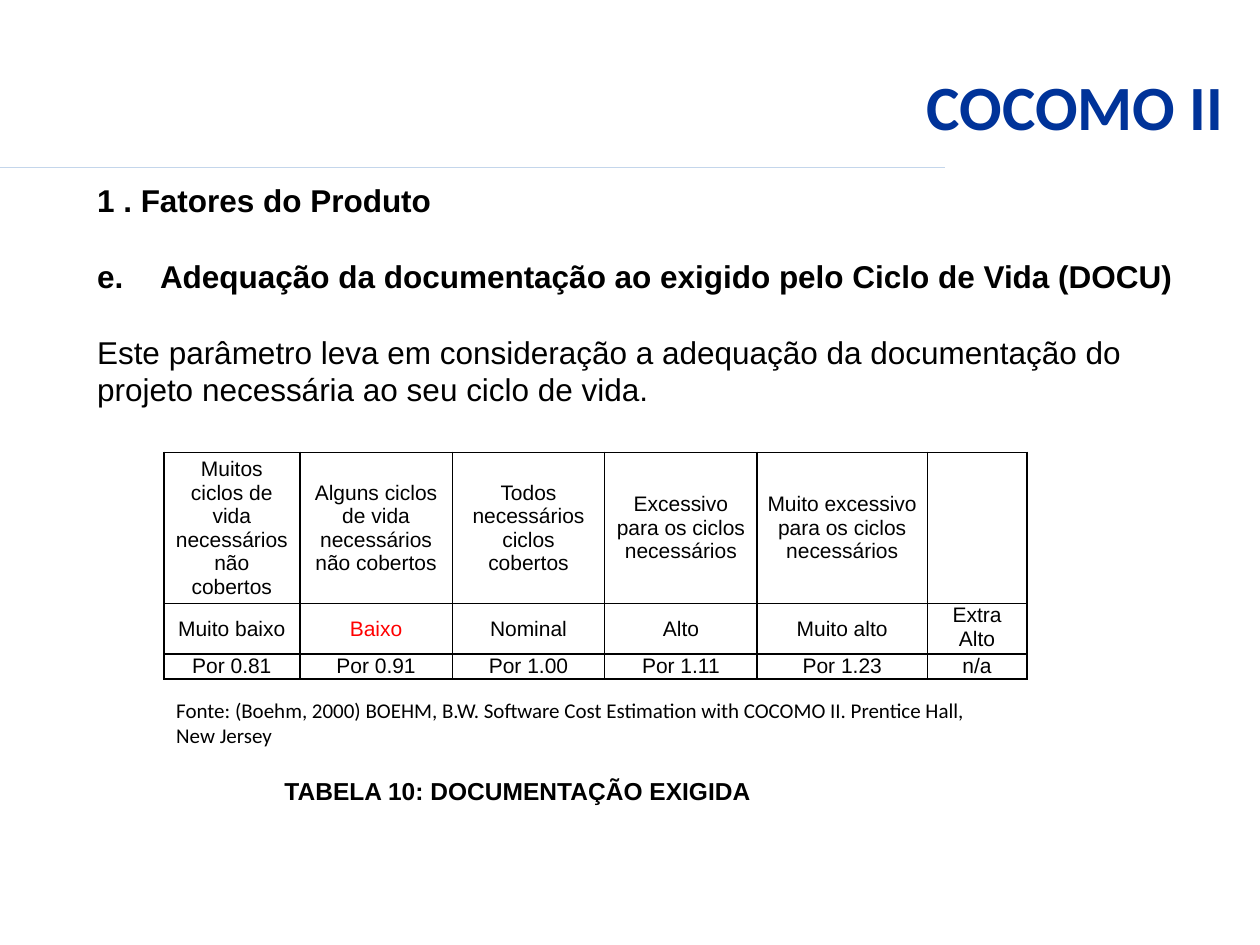
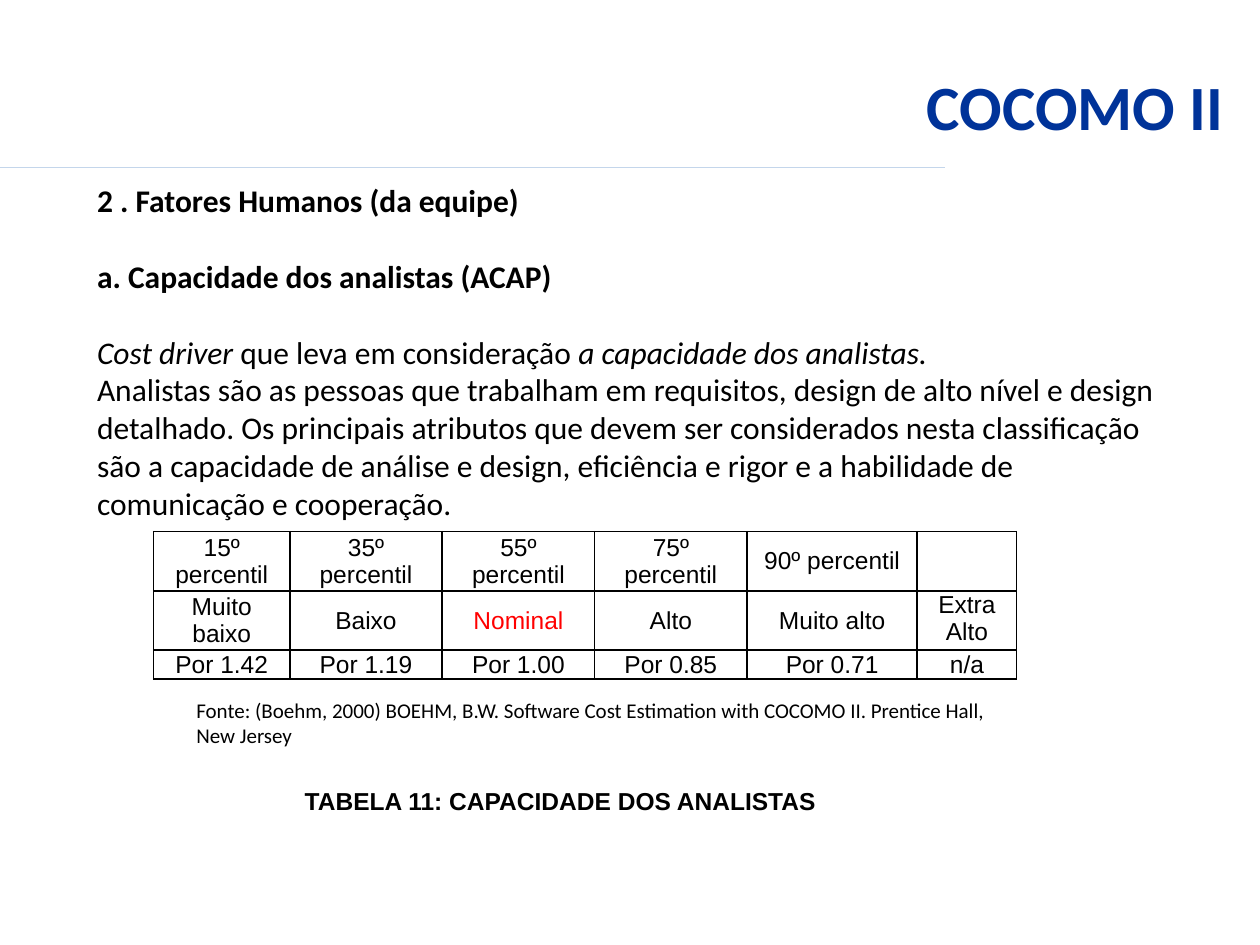
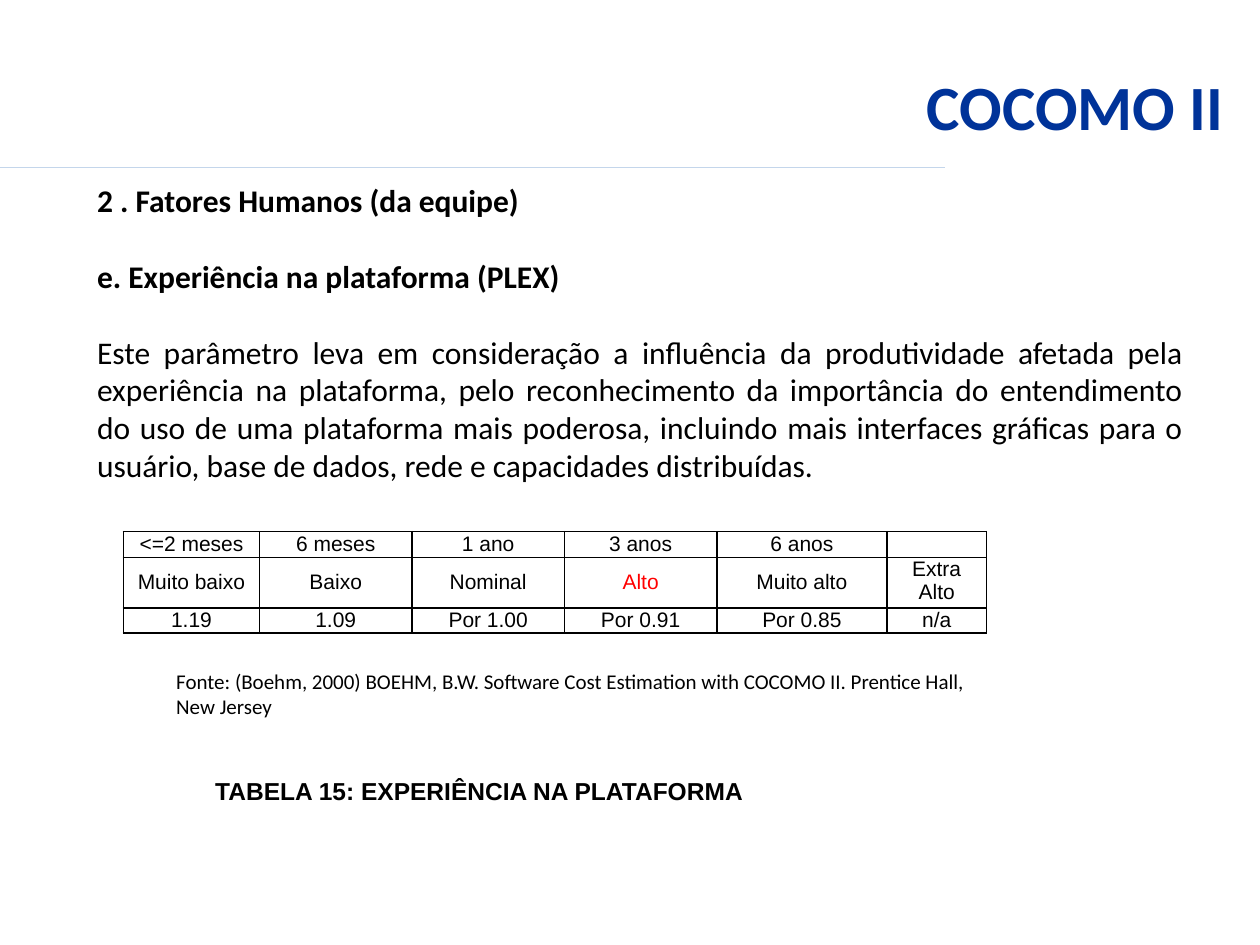
from dataclasses import dataclass

from lxml import etree
from pptx import Presentation
from pptx.dml.color import RGBColor
from pptx.enum.shapes import MSO_CONNECTOR
from pptx.enum.text import MSO_ANCHOR, MSO_AUTO_SIZE, PP_ALIGN
from pptx.oxml.ns import qn
from pptx.util import Inches, Pt

LEFT, CENTER, RIGHT, JUSTIFY = PP_ALIGN.LEFT, PP_ALIGN.CENTER, PP_ALIGN.RIGHT, PP_ALIGN.JUSTIFY
TOP, MIDDLE = MSO_ANCHOR.TOP, MSO_ANCHOR.MIDDLE
STRAIGHT = MSO_CONNECTOR.STRAIGHT
NO_AUTOFIT = MSO_AUTO_SIZE.NONE


@dataclass(frozen=True)
class Theme:
    title_color: str = "003399"
    ink: str = "000000"
    highlight: str = "FF0000"
    rule: str = "C4D6EB"
    title_size: float = 36
    body_size: float = 18
    body_pitch: float = 21.6
    caption_size: float = 14
    source_size: float = 12
    sans: str = "Arial"
    humanist: str = "Calibri"


THEME = Theme()
SOURCE = ("Fonte: (Boehm, 2000) BOEHM, B.W. Software Cost Estimation with COCOMO II. "
          "Prentice Hall, New Jersey")
COLUMN_WIDTHS = (1.08, 1.21, 1.21, 1.21, 1.35, 0.79)
RATINGS = ("Muito baixo", "Baixo", "Nominal", "Alto", "Muito alto", "Extra Alto")


def write(paragraph, text, *, size, font, color=THEME.ink, bold=False, italic=False):
    """Append one formatted run to the paragraph."""
    run = paragraph.add_run()
    run.text = text
    run.font.size = Pt(size)
    run.font.name = font
    run.font.bold = bold
    run.font.italic = italic
    run.font.color.rgb = RGBColor.from_string(color)


def add_child(parent, tag, **attributes):
    return etree.SubElement(parent, qn(tag), attributes)


class Deck:
    def __init__(self, theme):
        self.theme = theme
        self.presentation = Presentation()
        self.presentation.slide_width = Inches(10)
        self.presentation.slide_height = Inches(7.5)
        self.slide = None

    def place(self, shape, left, top, width, height):
        shape.left, shape.top = Inches(left), Inches(top)
        shape.width, shape.height = Inches(width), Inches(height)

    def new_slide(self, heading):
        """Start a slide with the shared rule and title."""
        self.slide = self.presentation.slides.add_slide(self.presentation.slide_layouts[1])
        self.rule()
        title = self.slide.shapes.title
        self.place(title, 0.67, 0.21, 9.14, 1.25)
        frame = title.text_frame
        frame.auto_size = NO_AUTOFIT
        frame.vertical_anchor = MIDDLE
        frame.paragraphs[0].alignment = RIGHT
        write(frame.paragraphs[0], heading, size=self.theme.title_size,
              font=self.theme.humanist, color=self.theme.title_color, bold=True)

    def rule(self):
        rule = self.slide.shapes.add_connector(
            STRAIGHT, Inches(0), Inches(1.33), Inches(7.5), Inches(1.33))
        rule.line.color.rgb = RGBColor.from_string(self.theme.rule)
        rule.line.width = Pt(0.75)
        add_child(rule._element.spPr, "a:effectLst")

    def body(self, factor, driver, description, height, font, align=LEFT):
        """Fill the body: two bold headings, then paragraphs of (text, italic) runs."""
        body = self.slide.placeholders[1]
        self.place(body, 0.67, 1.39, 8.82, height)
        frame = body.text_frame
        frame.auto_size = NO_AUTOFIT
        frame.vertical_anchor = TOP
        paragraphs = [[(factor, False)], [(driver, False)], *description]
        for index, runs in enumerate(paragraphs):
            paragraph = frame.paragraphs[0] if index == 0 else frame.add_paragraph()
            properties = paragraph._p.get_or_add_pPr()
            properties.set("marL", "0")
            properties.set("indent", "0")
            add_child(properties, "a:buNone")
            tabs = add_child(properties, "a:tabLst")
            add_child(tabs, "a:tab", pos=str(Inches(0.48)), algn="l")
            paragraph.line_spacing = Pt(self.theme.body_pitch)
            paragraph.space_before = Pt(self.theme.body_pitch if index in (1, 2) else 0)
            paragraph.alignment = align if index > 1 else LEFT
            for text, italic in runs:
                write(paragraph, text, size=self.theme.body_size, font=font,
                      bold=index < 2, italic=italic)

    def text(self, content, left, top, width, height, *, wrap, anchor, **style):
        box = self.slide.shapes.add_textbox(
            Inches(left), Inches(top), Inches(width), Inches(height))
        box.text_frame.word_wrap = wrap
        box.text_frame.vertical_anchor = anchor
        write(box.text_frame.paragraphs[0], content, **style)

    def caption(self, content, left, top, width):
        self.text(content, left, top, width, 0.34, wrap=False, anchor=TOP,
                  size=self.theme.caption_size, font=self.theme.sans, bold=True)

    def source(self, left, top):
        self.text(SOURCE, left, top, 6.61, 0.51, wrap=True, anchor=MIDDLE,
                  size=self.theme.source_size, font=self.theme.humanist)

    def rating_table(self, criteria, multipliers, left, top, row_heights, size, chosen):
        """Draw criteria, ratings and multipliers; the chosen rating is highlighted."""
        rows = ((*criteria, ""), RATINGS, (*multipliers, "n/a"))
        table = self.slide.shapes.add_table(
            len(rows), len(COLUMN_WIDTHS), Inches(left), Inches(top),
            Inches(sum(COLUMN_WIDTHS)), Inches(sum(row_heights))).table
        table.first_row = table.horz_banding = False
        for column, width in zip(table.columns, COLUMN_WIDTHS):
            column.width = Inches(width)
        for row, height in zip(table.rows, row_heights):
            row.height = Inches(height)
        for r, values in enumerate(rows):
            for c, value in enumerate(values):
                self.cell(table.cell(r, c), value, size, value == chosen)

    def cell(self, cell, value, size, highlighted):
        cell.margin_left = cell.margin_right = Inches(0.07)
        cell.margin_top = cell.margin_bottom = 0
        cell.vertical_anchor = TOP if value == RATINGS[-1] else MIDDLE
        properties = cell._tc.get_or_add_tcPr()
        for side in ("a:lnL", "a:lnR", "a:lnT", "a:lnB"):
            border = add_child(properties, side, w=str(Pt(1)))
            add_child(add_child(border, "a:solidFill"), "a:srgbClr", val=self.theme.ink)
        cell.fill.background()
        paragraph = cell.text_frame.paragraphs[0]
        paragraph.alignment = CENTER
        if value:
            write(paragraph, value, size=size, font=self.theme.sans,
                  color=self.theme.highlight if highlighted else self.theme.ink)
        else:
            add_child(paragraph._p, "a:endParaRPr", sz=str(size * 100))


def main():
    deck = Deck(THEME)

    # Required documentation
    deck.new_slide("COCOMO II")
    deck.body(
        "1 . Fatores do Produto",
        "e.\tAdequação da documentação ao exigido pelo Ciclo de Vida (DOCU)",
        [[("Este parâmetro leva em consideração a adequação da documentação do projeto "
           "necessária ao seu ciclo de vida.", False)]],
        height=2.52, font=THEME.sans)
    deck.rating_table(
        ("Muitos ciclos de vida necessários não cobertos",
         "Alguns ciclos de vida necessários não cobertos",
         "Todos necessários ciclos cobertos",
         "Excessivo para os ciclos necessários",
         "Muito excessivo para os ciclos necessários"),
        ("Por 0.81", "Por 0.91", "Por 1.00", "Por 1.11", "Por 1.23"),
        1.3, 3.59, (1.2, 0.4, 0.2), size=12, chosen="Baixo")
    deck.caption("TABELA 10: DOCUMENTAÇÃO EXIGIDA", 2.16, 6.11, 3.93)
    deck.source(1.3, 5.48)

    # Analyst capability
    deck.new_slide("COCOMO II")
    deck.body(
        "2 . Fatores Humanos (da equipe)",
        "a. Capacidade dos analistas (ACAP)",
        [[("Cost driver ", True), ("que leva em consideração ", False),
          ("a capacidade dos analistas.", True)],
         [("Analistas são as pessoas que trabalham em requisitos, design de alto nível e "
           "design detalhado. Os principais atributos que devem ser considerados nesta "
           "classificação são a capacidade de análise e design, eficiência e rigor e a "
           "habilidade de comunicação e cooperação.", False)]],
        height=2.83, font=THEME.humanist)
    deck.rating_table(
        [f"{rank}º percentil" for rank in (15, 35, 55, 75, 90)],
        ("Por 1.42", "Por 1.19", "Por 1.00", "Por 0.85", "Por 0.71"),
        1.22, 4.22, (0.47, 0.47, 0.23), size=14, chosen="Nominal")
    deck.caption("TABELA 11: CAPACIDADE DOS ANALISTAS", 2.32, 6.19, 4.34)
    deck.source(1.46, 5.48)

    # Platform experience
    deck.new_slide("COCOMO II")
    deck.body(
        "2 . Fatores Humanos (da equipe)",
        "e. Experiência na plataforma (PLEX)",
        [[("Este parâmetro leva em consideração a influência da produtividade afetada pela "
           "experiência na plataforma, pelo reconhecimento da importância do entendimento "
           "do uso de uma plataforma mais poderosa, incluindo mais interfaces gráficas para "
           "o usuário, base de dados, rede e capacidades distribuídas.", False)]],
        height=2.83, font=THEME.humanist, align=JUSTIFY)
    deck.rating_table(
        ("<=2 meses", "6 meses", "1 ano", "3 anos", "6 anos"),
        ("1.19", "1.09", "Por 1.00", "Por 0.91", "Por 0.85"),
        0.98, 4.22, (0.2, 0.4, 0.2), size=12, chosen="Alto")
    deck.caption("TABELA 15: EXPERIÊNCIA NA PLATAFORMA", 1.61, 6.11, 4.47)
    deck.source(1.3, 5.25)

    deck.presentation.save("out.pptx")


if __name__ == "__main__":
    main()
